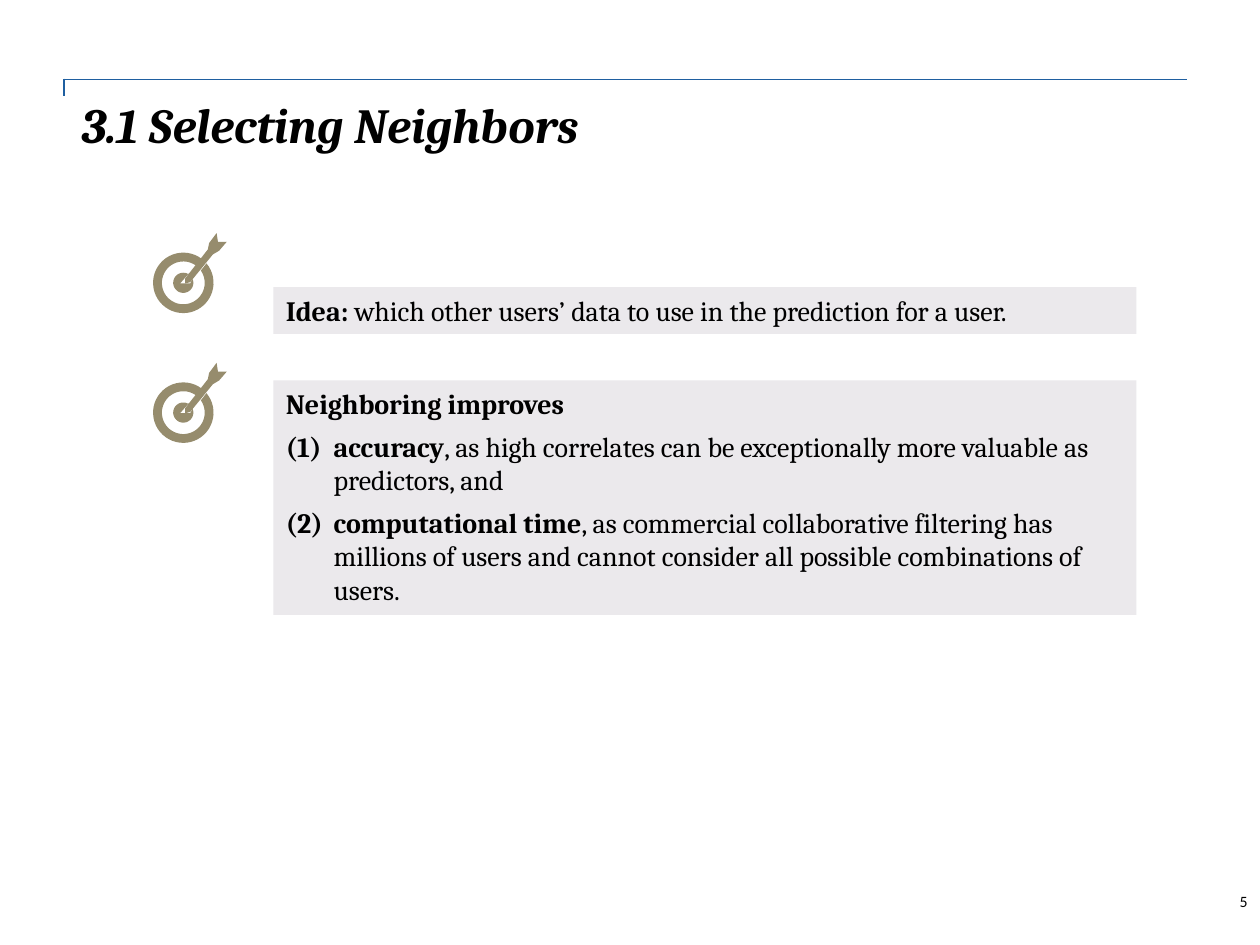
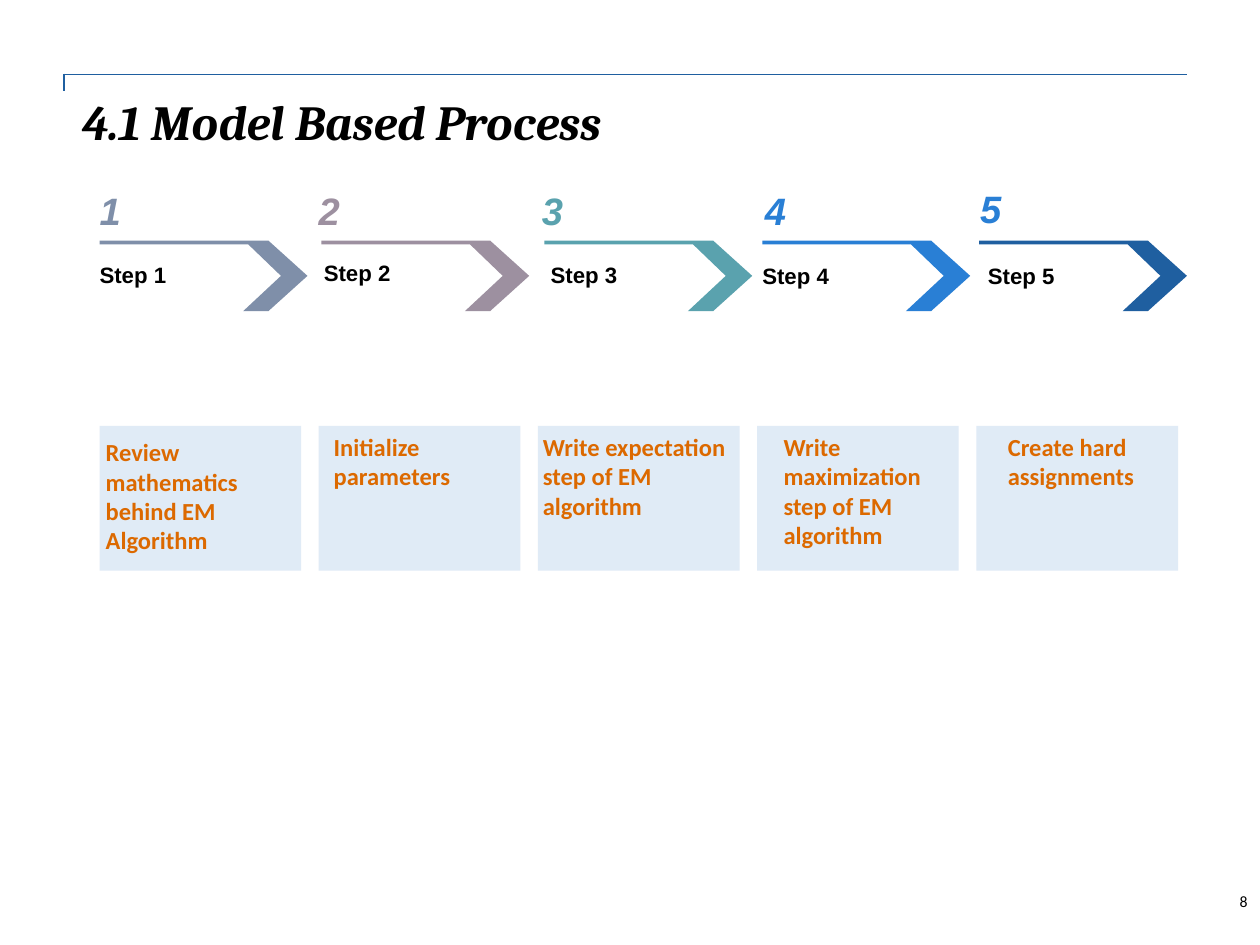
import math

import lxml.etree
import pptx
import pptx.dml.color
import pptx.enum.shapes
import pptx.enum.text
import pptx.oxml.ns
import pptx.util

Inches = pptx.util.Inches
Pt = pptx.util.Pt
RGBColor = pptx.dml.color.RGBColor
Align = pptx.enum.text.PP_ALIGN
Anchor = pptx.enum.text.MSO_ANCHOR
RECTANGLE = pptx.enum.shapes.MSO_SHAPE.RECTANGLE
qn = pptx.oxml.ns.qn

BLACK = RGBColor(0x00, 0x00, 0x00)
NAVY = RGBColor(0x1F, 0x5F, 0xA0)
BLUE = RGBColor(0x29, 0x7F, 0xD5)
SLATE = RGBColor(0x7F, 0x8F, 0xA9)
MAUVE = RGBColor(0x9D, 0x90, 0xA0)
TEAL = RGBColor(0x5A, 0xA2, 0xAE)
KHAKI = RGBColor(0x96, 0x8C, 0x6D)
PALE_GREY = RGBColor(0xEB, 0xE9, 0xEC)
PALE_BLUE = RGBColor(0xE0, 0xEB, 0xF6)
ORANGE = RGBColor(0xDC, 0x69, 0x00)

TITLE = {"name": "Cambria", "size": Pt(28), "bold": True, "italic": True}
PAGE = {"name": "Calibri", "size": Pt(9)}
BODY = {"name": "Cambria", "size": Pt(16)}
NUMERAL = {"name": "Arial", "size": Pt(21.8), "bold": True, "italic": True}
LABEL = {"name": "Arial", "size": Pt(12.7), "bold": True}
TASK = {"name": "Calibri", "size": Pt(14), "bold": True}
NO_INSETS = {"margin_left": 0, "margin_top": 0, "margin_right": 0, "margin_bottom": 0}
LABEL_INSETS = {**NO_INSETS, "margin_top": Inches(0.04)}


def write(shape, paragraphs, font, color=BLACK, frame=None, layout=None):
    text_frame = shape.text_frame
    settings = {"word_wrap": True, "vertical_anchor": Anchor.TOP, **(frame or {})}
    for key, value in settings.items():
        setattr(text_frame, key, value)
    for index, runs in enumerate(paragraphs):
        paragraph = text_frame.add_paragraph() if index else text_frame.paragraphs[0]
        for key, value in {"alignment": Align.LEFT, **(layout or {})}.items():
            setattr(paragraph, key, value)
        for text, style in runs:
            run = paragraph.add_run()
            run.text = text
            for key, value in {**font, **style}.items():
                setattr(run.font, key, value)
            run.font.color.rgb = color


def draw_outline(slide, points, color):
    corners = [(Inches(x), Inches(y)) for x, y in points]
    builder = slide.shapes.build_freeform(*corners[0], scale=1.0)
    builder.add_line_segments(corners[1:], close=True)
    outline = builder.convert_to_shape()
    outline.shadow.inherit = False
    outline.fill.solid()
    outline.fill.fore_color.rgb = color
    outline.line.fill.background()


deck = pptx.Presentation()
deck.slide_width = Inches(10)
deck.slide_height = Inches(7.5)
neighbors = deck.slides.add_slide(deck.slide_layouts[6])
process = deck.slides.add_slide(deck.slide_layouts[6])

for slide, page, title, rule_top, title_top in (
    (neighbors, "5", "3.1 Selecting Neighbors", 0.63, 0.75),
    (process, "8", "4.1 Model Based Process", 0.59, 0.73),
):
    page_number = slide.shapes.add_textbox(Inches(7.75), Inches(6.95), Inches(2.25), Inches(0.4))
    write(page_number, [[(page, {})]], PAGE,
          frame={"vertical_anchor": Anchor.MIDDLE}, layout={"alignment": Align.RIGHT})

    rule = slide.shapes.add_table(
        1, 1, Inches(0.51), Inches(rule_top), Inches(8.91), Inches(0.13)).table
    rule.first_row = False
    rule.horz_banding = False
    corner = rule.cell(0, 0)
    for key, value in NO_INSETS.items():
        setattr(corner, key, value)
    lxml.etree.SubElement(
        corner.text_frame.paragraphs[0]._p, qn("a:endParaRPr"), sz="100")
    borders = corner._tc.get_or_add_tcPr()
    for side in ("lnL", "lnR", "lnT", "lnB"):
        border = lxml.etree.SubElement(borders, qn(f"a:{side}"), w="12700")
        if side in ("lnL", "lnT"):
            ink = lxml.etree.SubElement(border, qn("a:solidFill"))
            lxml.etree.SubElement(ink, qn("a:srgbClr"), val=str(NAVY))
        else:
            lxml.etree.SubElement(border, qn("a:noFill"))
    corner.fill.background()

    heading = slide.shapes.add_textbox(Inches(0.55), Inches(title_top), Inches(8.83), Inches(1))
    write(heading, [[(title, {})]], TITLE, layout={"line_spacing": 0.9})

bold = {"bold": True}
idea = [[("Idea: ", bold),
         ("which other users’ data to use in the prediction for a user.", {})]]
benefits = [
    [("Neighboring improves", bold)],
    [("accuracy", bold),
     (", as high correlates can be exceptionally more valuable as predictors, and", {})],
    [("computational time", bold),
     (", as commercial collaborative filtering has millions of users and cannot "
      "consider all possible combinations of users.", {})],
]
dart = [(1.8, 0.07), (1.73, 0.07), (1.72, 0), (1.66, 0.08), (1.65, 0.13), (1.47, 0.36),
        (1.47, 0.4), (1.51, 0.39), (1.69, 0.17), (1.74, 0.14)]
hub_notch = [(1.51, 0.4), (1.43, 0.4), (1.5, 0.32)]

for target_top, panel_top, panel_height, statements in (
    (1.85, 2.28, 0.37, idea),
    (2.88, 3.02, 1.86, benefits),
):
    arcs = []
    for radius, start, end in ((0.08, -57, -382), (0.24, -40, 307), (0.17, 308, -35)):
        angles = [math.radians(start + (end - start) * step / 48) for step in range(49)]
        arcs.append([(1.455 + radius * math.cos(angle), 0.395 + radius * math.sin(angle))
                     for angle in angles])
    hub_arc, outer_arc, inner_arc = arcs
    for part in (hub_notch + hub_arc, outer_arc + inner_arc, dart):
        draw_outline(neighbors, [(x, target_top + y) for x, y in part], KHAKI)

    panel = neighbors.shapes.add_shape(
        RECTANGLE, Inches(2.17), Inches(panel_top), Inches(6.85), Inches(panel_height))
    panel.shadow.inherit = False
    panel.fill.solid()
    panel.fill.fore_color.rgb = PALE_GREY
    panel.line.fill.background()
    write(panel, statements, BODY, layout={"space_after": Pt(5.1)})
    for paragraph in panel.text_frame.paragraphs[1:]:
        numbering = paragraph._p.get_or_add_pPr()
        numbering.set("marL", str(Inches(0.38)))
        numbering.set("indent", str(-Inches(0.38)))
        lxml.etree.SubElement(numbering, qn("a:buFont"), typeface="+mj-lt")
        lxml.etree.SubElement(numbering, qn("a:buAutoNum"), type="arabicParenBoth")

chevron = [(1.34, 0), (0, 0), (0, 0.03), (1.18, 0.03), (1.44, 0.28),
           (1.14, 0.56), (1.34, 0.56), (1.65, 0.28)]
steps = (
    (SLATE, SLATE, 0.79, (0.79, 1.49), (0.79, 2.03), (0.74, 3.42),
     "Review mathematics behind EM Algorithm"),
    (MAUVE, MAUVE, 2.55, (2.53, 1.49), (2.57, 2.02), (2.55, 3.38),
     "Initialize parameters"),
    (TEAL, TEAL, 4.32, (4.3, 1.49), (4.37, 2.03), (4.21, 3.38),
     "Write expectation step of EM algorithm"),
    (BLUE, BLUE, 6.05, (6.07, 1.49), (6.05, 2.04), (6.12, 3.38),
     "Write maximization step of EM algorithm"),
    (NAVY, BLUE, 7.77, (7.78, 1.47), (7.84, 2.04), (7.9, 3.38),
     "Create hard assignments"),
)

for index, (arrow_color, numeral_color, arrow_left, numeral_at, label_at, task_at,
            task) in enumerate(steps):
    card = process.shapes.add_shape(
        RECTANGLE, Inches(0.79 + 1.74 * index), Inches(3.38), Inches(1.6), Inches(1.15))
    card.shadow.inherit = False
    card.fill.solid()
    card.fill.fore_color.rgb = PALE_BLUE
    card.line.fill.background()

    draw_outline(process, [(arrow_left + x, 1.91 + y) for x, y in chevron], arrow_color)

    for (left, top), width, height, text, font, color, frame, gap in (
        (numeral_at, 0.4, 0.48, str(index + 1), NUMERAL, numeral_color, NO_INSETS, 7.7),
        (label_at, 1.7, 0.56, f"Step {index + 1}", LABEL, BLACK, LABEL_INSETS, 2.6),
        (task_at, 1.65, 1.04, task, TASK, ORANGE, None, 0),
    ):
        caption = process.shapes.add_textbox(
            Inches(left), Inches(top), Inches(width), Inches(height))
        write(caption, [[(text, {})]], font, color, frame, {"space_after": Pt(gap)})

deck.save("out.pptx")
